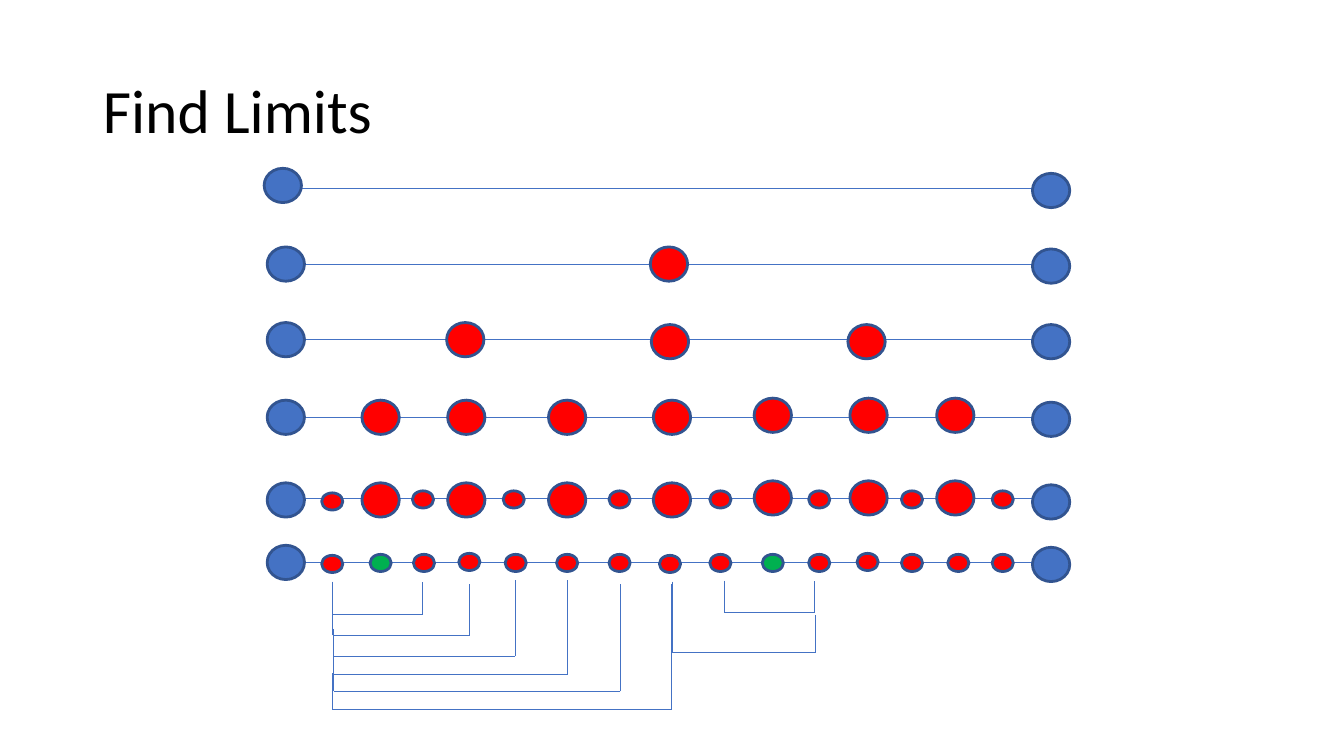
from lxml.etree import SubElement
from pptx import Presentation
from pptx.dml.color import RGBColor
from pptx.enum.shapes import MSO_CONNECTOR, MSO_SHAPE
from pptx.enum.text import MSO_ANCHOR, PP_ALIGN
from pptx.oxml.ns import qn
from pptx.util import Inches, Pt

BLUE, EDGE, RED, GREEN = "4472C4", "325490", "FF0000", "00B050"
BIG, SMALL = (0.37, 0.34), (0.21, 0.17)
LEFT, RIGHT = 2.65, 10.24

# Line height, top left corner of the left end, top of the right end
ROWS = [
    (1.87, (2.62, 1.67), 1.72),
    (2.62, (LEFT, 2.45), 2.47),
    (3.37, (LEFT, 3.20), 3.22),
    (4.14, (LEFT, 3.97), 3.99),
    (4.95, (LEFT, 4.79), 4.81),
    (5.58, (LEFT, 5.41), 5.43),
]

# Top left corners of the inner points
HALF = [(6.45, 2.45)]
QUARTERS = [(4.43, 3.20), (6.46, 3.22), (8.41, 3.22)]
EIGHTHS = [(3.59, 3.97), (4.44, 3.97), (5.44, 3.97), (6.48, 3.97),
           (7.48, 3.95), (8.43, 3.95), (9.29, 3.95)]
AGAIN = [(x, y + 0.82) for x, y in EIGHTHS]
BETWEEN = [(3.19, 4.89)] + [
    (x, 4.87) for x in (4.09, 4.99, 6.04, 7.04, 8.02, 8.94, 9.84)]
STEPS = [(3.19, 5.51), (4.10, 5.50), (4.55, 5.49), (5.01, 5.50),
         (5.52, 5.50), (6.04, 5.50), (6.54, 5.51), (7.04, 5.50),
         (8.02, 5.50), (8.50, 5.49), (8.94, 5.50), (9.40, 5.50),
         (9.84, 5.50)]
LIMITS = [(3.67, 5.50), (7.56, 5.50)]

# Left x, right x, top of left stem, base, top of right stem
BRACKETS = [
    (3.30, 4.19, 5.77, 6.10, 5.77),
    (3.30, 4.66, 5.97, 6.30, 5.79),
    (3.31, 5.11, 6.24, 6.51, 5.75),
    (3.31, 5.63, 6.40, 6.69, 5.75),
    (3.31, 6.15, 6.54, 6.86, 5.79),
    (3.30, 6.66, 6.68, 7.04, 5.79),
    (7.19, 8.08, 5.76, 6.08, 5.76),
    (6.67, 8.09, 5.77, 6.47, 6.10),
]


def color(text):
    return RGBColor.from_string(text)


def put_title(slide, text):
    title = slide.shapes.title
    place = {"left": 0.92, "top": 0.4, "width": 11.5, "height": 1.45}
    for name, value in place.items():
        setattr(title, name, Inches(value))
    frame = title.text_frame
    frame.text = text
    frame.vertical_anchor = MSO_ANCHOR.MIDDLE
    para = frame.paragraphs[0]
    for name, value in {"alignment": PP_ALIGN.LEFT, "line_spacing": 0.9}.items():
        setattr(para, name, value)
    font = para.runs[0].font
    for name, value in {"name": "Calibri", "size": Pt(44)}.items():
        setattr(font, name, value)
    font.color.rgb = color("000000")


def line(slide, start, end):
    link = slide.shapes.add_connector(
        MSO_CONNECTOR.STRAIGHT, *map(Inches, start + end))
    link.line.color.rgb = color(BLUE)
    link.line.width = Pt(0.75)
    SubElement(link._element.spPr, qn("a:effectLst"))


def dots(slide, spots, size, fill):
    for spot in spots:
        dot = slide.shapes.add_shape(MSO_SHAPE.OVAL, *map(Inches, spot + size))
        dot.shadow.inherit = False
        dot.fill.solid()
        dot.fill.fore_color.rgb = color(fill)
        dot.line.color.rgb = color(EDGE)
        dot.line.width = Pt(2)


def bracket(slide, left, right, start, base, end):
    points = [(left, start), (left, base), (right, base), (right, end)]
    for first, last in zip(points, points[1:]):
        line(slide, first, last)


def main():
    deck = Presentation()
    deck.slide_width, deck.slide_height = Inches(13.33), Inches(7.5)
    slide = deck.slides.add_slide(deck.slide_layouts[5])
    put_title(slide, "Find Limits")
    for height, left, top in ROWS:
        line(slide, (2.84, height), (10.46, height))
        dots(slide, [left, (RIGHT, top)], BIG, BLUE)
    dots(slide, HALF + QUARTERS + EIGHTHS + AGAIN, BIG, RED)
    dots(slide, BETWEEN + STEPS, SMALL, RED)
    dots(slide, LIMITS, SMALL, GREEN)
    for spec in BRACKETS:
        bracket(slide, *spec)
    deck.save("out.pptx")


if __name__ == "__main__":
    main()
